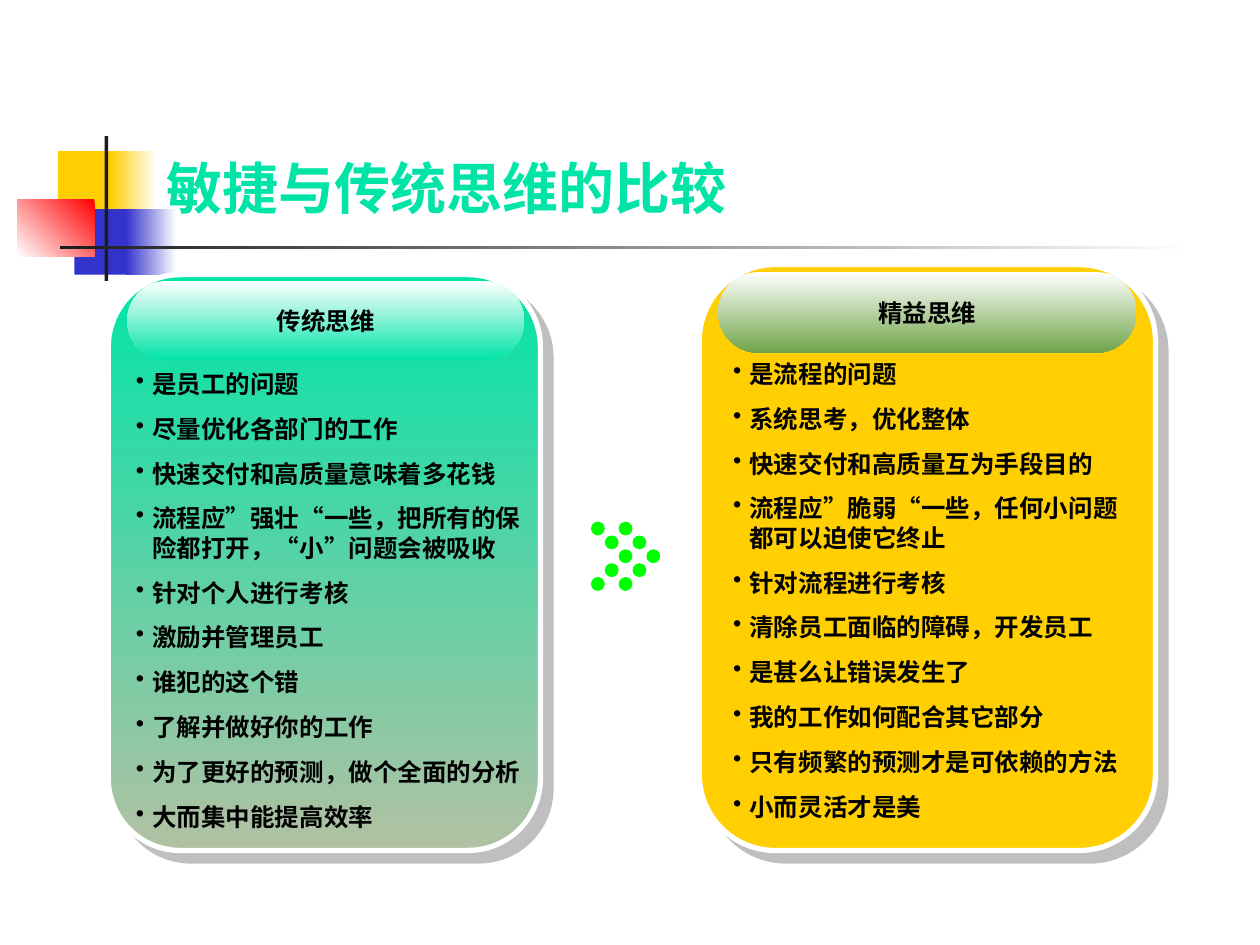
from dataclasses import dataclass

from lxml import etree
from pptx import Presentation
from pptx.dml.color import RGBColor
from pptx.enum.lang import MSO_LANGUAGE_ID
from pptx.enum.shapes import MSO_SHAPE
from pptx.enum.text import MSO_ANCHOR, PP_ALIGN
from pptx.oxml.ns import qn
from pptx.shapes.autoshape import Shape
from pptx.slide import Slide
from pptx.text.text import _Paragraph
from pptx.util import Inches, Pt

RECT = MSO_SHAPE.RECTANGLE
ROUNDED = MSO_SHAPE.ROUNDED_RECTANGLE
OVAL = MSO_SHAPE.OVAL
CENTER = PP_ALIGN.CENTER
MIDDLE = MSO_ANCHOR.MIDDLE
CHINESE = MSO_LANGUAGE_ID.SIMPLIFIED_CHINESE


@dataclass(frozen=True)
class Theme:
    white: str = "FFFFFF"
    ink: str = "000000"
    charcoal: str = "1C1C1C"
    yellow: str = "FFCF01"
    blue: str = "3333CC"
    red: str = "FF0000"
    mint: str = "00E4A8"
    sage: str = "B1C1A3"
    olive: str = "70A549"
    dot: str = "00FF00"
    shadow: str = "808080"
    body_font: str = "Arial"
    title_font: str = "Noto Sans CJK KR"
    body_size: float = 14
    title_size: float = 32
    bullet_gap: float = 8.8
    border: float = 3


THEME = Theme()


@dataclass(frozen=True)
class Box:
    left: float
    top: float
    width: float
    height: float

    def lengths(self) -> tuple:
        return tuple(Inches(v) for v in (self.left, self.top, self.width, self.height))


@dataclass(frozen=True)
class Paint:
    start: str
    end: str = ""
    angle: float = 0


@dataclass(frozen=True)
class Block:
    box: Box
    paint: Paint


@dataclass(frozen=True)
class Panel:
    card: Block
    header: Block
    heading: str
    list_box: Box
    points: tuple[str, ...]


ORNAMENT = (
    Block(Box(0.46, 1.2, 0.48, 0.52), Paint(THEME.yellow)),
    Block(Box(0.88, 1.2, 0.36, 0.52), Paint(THEME.white, THEME.yellow, 180)),
    Block(Box(0.59, 1.66, 0.46, 0.52), Paint(THEME.blue)),
    Block(Box(1, 1.66, 0.4, 0.52), Paint(THEME.white, THEME.blue, 180)),
    Block(Box(0.14, 1.58, 0.61, 0.46), Paint(THEME.red, THEME.white, 135)),
    Block(Box(0.83, 1.08, 0.03, 1.15), Paint(THEME.charcoal)),
    Block(Box(0.48, 1.95, 9, 0.03), Paint(THEME.white, THEME.charcoal, 180)),
)

TRADITIONAL = Panel(
    Block(Box(0.86, 2.18, 3.43, 4.57), Paint(THEME.mint, THEME.sage, 90)),
    Block(Box(1.01, 2.23, 3.15, 0.63), Paint(THEME.white, THEME.mint, 90)),
    "传统思维",
    Box(0.98, 2.88, 3.39, 3.77),
    (
        "是员工的问题",
        "尽量优化各部门的工作",
        "快速交付和高质量意味着多花钱",
        "流程应”强壮“一些，把所有的保险都打开，“小”问题会被吸收",
        "针对个人进行考核",
        "激励并管理员工",
        "谁犯的这个错",
        "了解并做好你的工作",
        "为了更好的预测，做个全面的分析",
        "大而集中能提高效率",
    ),
)

LEAN = Panel(
    Block(Box(5.55, 2.1, 3.62, 4.65), Paint(THEME.yellow)),
    Block(Box(5.7, 2.16, 3.32, 0.64), Paint(THEME.white, THEME.olive, 90)),
    "精益思维",
    Box(5.72, 2.8, 3.36, 3.77),
    (
        "是流程的问题",
        "系统思考，优化整体",
        "快速交付和高质量互为手段目的",
        "流程应”脆弱“一些，任何小问题都可以迫使它终止",
        "针对流程进行考核",
        "清除员工面临的障碍，开发员工",
        "是甚么让错误发生了",
        "我的工作如何配合其它部分",
        "只有频繁的预测才是可依赖的方法",
        "小而灵活才是美",
    ),
)


def rgb(color: str) -> RGBColor:
    return RGBColor.from_string(color)


def draw_block(slide: Slide, block: Block, preset: MSO_SHAPE = RECT) -> Shape:
    shape = slide.shapes.add_shape(preset, *block.box.lengths())
    shape.shadow.inherit = False
    shape.line.fill.background()
    paint = block.paint
    if paint.end:
        shape.fill.gradient()
        shape.fill.gradient_angle = 360 - paint.angle
        for stop, color in zip(shape.fill.gradient_stops, (paint.start, paint.end)):
            stop.color.rgb = rgb(color)
    else:
        shape.fill.solid()
        shape.fill.fore_color.rgb = rgb(paint.start)
    return shape


def add_offset_shadow(shape: Shape) -> None:
    effects = shape._element.spPr.find(qn("a:effectLst"))
    shadow = etree.SubElement(
        effects, qn("a:outerShdw"), dist=str(Pt(8.5)), dir="2700000", algn="ctr", rotWithShape="0"
    )
    color = etree.SubElement(shadow, qn("a:srgbClr"), val=THEME.shadow)
    etree.SubElement(color, qn("a:alpha"), val="50000")


def add_bold_run(paragraph: _Paragraph, text: str, font: str, size: float, color: str) -> None:
    run = paragraph.add_run()
    run.text = text
    run.font.name = font
    run.font.size = Pt(size)
    run.font.bold = True
    run.font.color.rgb = rgb(color)
    run.font.language_id = CHINESE


def add_bullet(paragraph: _Paragraph) -> None:
    properties = paragraph._p.get_or_add_pPr()
    properties.set("marL", str(Inches(0.13)))
    properties.set("indent", str(-Inches(0.13)))
    color = etree.SubElement(properties, qn("a:buClr"))
    etree.SubElement(color, qn("a:srgbClr"), val=THEME.ink)
    etree.SubElement(properties, qn("a:buChar"), char="•")


def draw_panel(slide: Slide, panel: Panel) -> None:
    card = draw_block(slide, panel.card, ROUNDED)
    card.line.color.rgb = rgb(THEME.white)
    card.line.width = Pt(THEME.border)
    add_offset_shadow(card)

    header = draw_block(slide, panel.header, ROUNDED)
    header.adjustments[0] = 0.5
    header.text_frame.word_wrap = False
    header.text_frame.vertical_anchor = MIDDLE
    heading = header.text_frame.paragraphs[0]
    heading.alignment = CENTER
    add_bold_run(heading, panel.heading, THEME.body_font, THEME.body_size, THEME.ink)

    frame = slide.shapes.add_textbox(*panel.list_box.lengths()).text_frame
    frame.word_wrap = True
    for index, point in enumerate(panel.points):
        paragraph = frame.add_paragraph() if index else frame.paragraphs[0]
        paragraph.space_before = Pt(THEME.bullet_gap)
        add_bullet(paragraph)
        add_bold_run(paragraph, point, THEME.body_font, THEME.body_size, THEME.ink)


def draw_dotted_arrow(slide: Slide, left: float, top: float, step: float) -> None:
    for start in (2, 0):
        for row in range(5):
            column = start + 2 - abs(row - 2)
            dot = Box(left + column * step, top + row * step, step, step)
            draw_block(slide, Block(dot, Paint(THEME.dot)), OVAL)


def draw_title(slide: Slide, text: str, box: Box) -> None:
    frame = slide.shapes.add_textbox(*box.lengths()).text_frame
    frame.word_wrap = True
    add_bold_run(frame.paragraphs[0], text, THEME.title_font, THEME.title_size, THEME.mint)


def main() -> None:
    deck = Presentation()
    deck.slide_width, deck.slide_height = Inches(10), Inches(7.5)
    slide = deck.slides.add_slide(deck.slide_layouts[6])
    for block in ORNAMENT:
        draw_block(slide, block)
    draw_panel(slide, TRADITIONAL)
    draw_dotted_arrow(slide, 4.69, 4.14, 0.11)
    draw_panel(slide, LEAN)
    draw_title(slide, "敏捷与传统思维的比较", Box(1.22, 1.17, 7.56, 0.64))
    deck.save("out.pptx")


if __name__ == "__main__":
    main()
